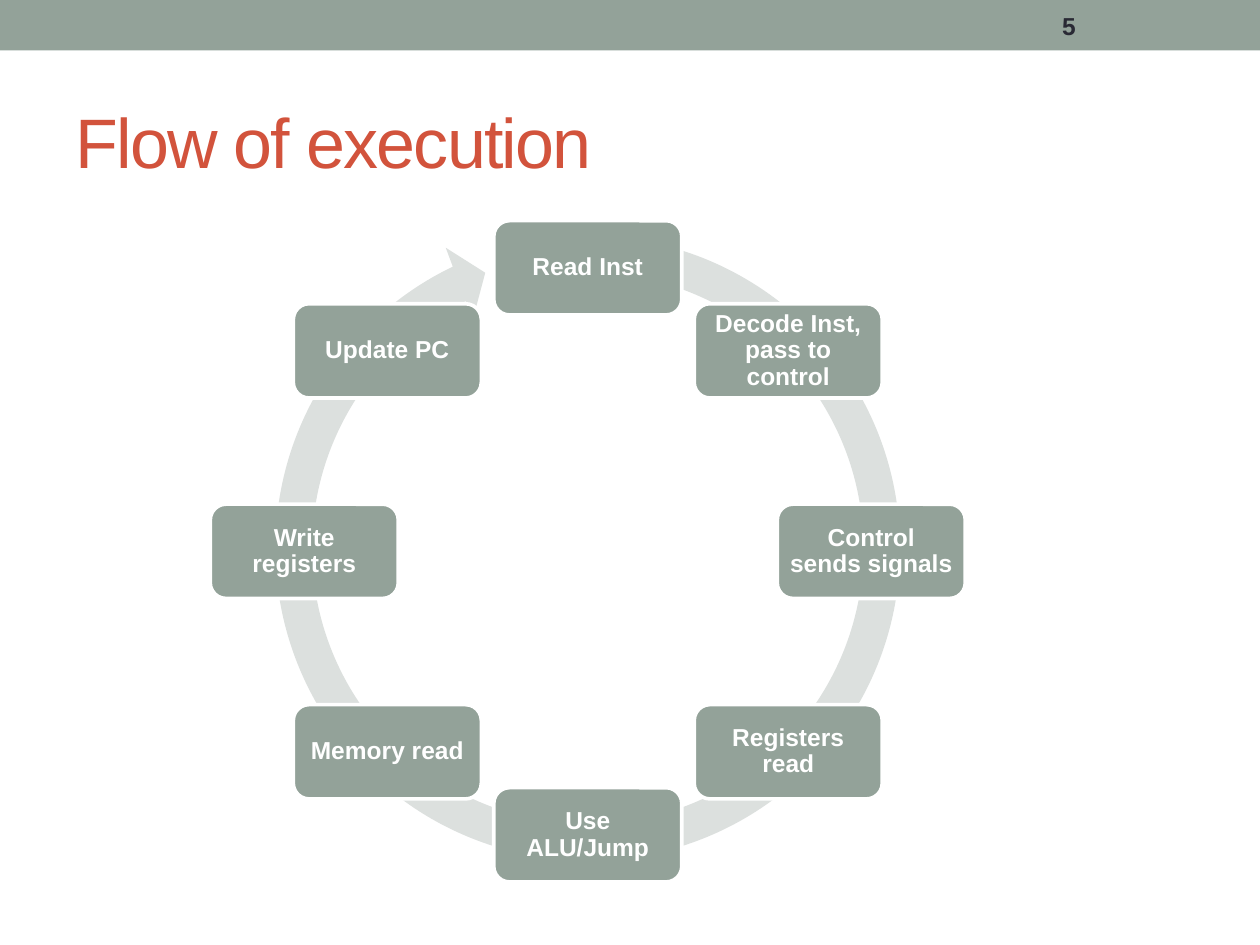
import math

import pptx
import pptx.dml.color
import pptx.enum.shapes
import pptx.enum.text
import pptx.util
from pptx.util import Cm, Pt

COLOURS = {
    "sage": "93A299",
    "ring": "DCE0DE",
    "title": "D2533C",
    "number": "292934",
    "white": "FFFFFF",
}
STEPS = [
    "Read Inst",
    "Decode Inst, pass to control",
    "Control sends signals",
    "Registers read",
    "Use ALU/Jump",
    "Memory read",
    "Write registers",
    "Update PC",
]
RING_ADJUSTMENTS = [0.055, 3.307, 146.448, 168.768, 0.058]
SHAPES = pptx.enum.shapes.MSO_SHAPE


def colour(name):
    return pptx.dml.color.RGBColor.from_string(COLOURS[name])


def add_filled_shape(slide, kind, left, top, width, height, fill):
    shape = slide.shapes.add_shape(kind, Cm(left), Cm(top), Cm(width), Cm(height))
    shape.shadow.inherit = False
    shape.fill.solid()
    shape.fill.fore_color.rgb = colour(fill)
    shape.line.fill.background()
    return shape


def write_text(shape, text, size, font_colour, bold=False, spacing=None):
    frame = shape.text_frame
    frame.word_wrap = True
    frame.vertical_anchor = pptx.enum.text.MSO_ANCHOR.MIDDLE
    paragraph = frame.paragraphs[0]
    run = paragraph.add_run()
    run.text = text
    run.font.name = "Arial"
    run.font.size = Pt(size)
    run.font.bold = bold
    run.font.color.rgb = colour(font_colour)
    if spacing is not None:
        run.font._element.set("spc", str(spacing))
    return paragraph


def add_header(slide, left, top, width, height):
    add_filled_shape(slide, SHAPES.RECTANGLE, left, top, width, height, "sage")
    number = slide.shapes.add_textbox(
        Cm(left + 21.16), Cm(top + 0.05), Cm(2.97), Cm(height - 0.1)
    )
    write_text(number, "5", 14, "number", bold=True)


def add_title(slide, left, top, width, height):
    title = slide.shapes.add_textbox(Cm(left), Cm(top), Cm(width), Cm(height))
    write_text(title, "Flow of execution", 40, "title", spacing=-100)


def add_step(slide, text, left, top, width, height):
    step = add_filled_shape(
        slide, SHAPES.ROUNDED_RECTANGLE, left, top, width, height, "sage"
    )
    step.line.color.rgb = colour("white")
    step.line.width = Pt(2.08)
    frame = step.text_frame
    frame.margin_left = frame.margin_right = Cm(0.14)
    frame.margin_top = frame.margin_bottom = Cm(0.05)
    paragraph = write_text(step, text, 14, "white", bold=True)
    paragraph.alignment = pptx.enum.text.PP_ALIGN.CENTER
    paragraph.line_spacing = 0.9


def add_cycle(slide, left, top, width, height):
    step_width, step_height, ring_size = 3.79, 1.9, 13.41
    centre_x, centre_y = left + width / 2, top + height / 2
    radius = (height - step_height) / 2
    ring = add_filled_shape(
        slide,
        SHAPES.CIRCULAR_ARROW,
        centre_x - ring_size / 2,
        top - 0.1,
        ring_size,
        ring_size,
        "ring",
    )
    for index, value in enumerate(RING_ADJUSTMENTS):
        ring.adjustments[index] = value
    for index, text in enumerate(STEPS):
        angle = 2 * math.pi * index / len(STEPS)
        add_step(
            slide,
            text,
            centre_x + radius * math.sin(angle) - step_width / 2,
            centre_y - radius * math.cos(angle) - step_height / 2,
            step_width,
            step_height,
        )


def main():
    presentation = pptx.Presentation()
    presentation.slide_width = Cm(25.4)
    presentation.slide_height = Cm(19.05)
    slide = presentation.slides.add_slide(presentation.slide_layouts[6])
    add_header(slide, 0, 0, 25.4, 1.02)
    add_title(slide, 1.27, 1.47, 22.86, 2.74)
    add_cycle(slide, 4.24, 4.45, 15.22, 13.33)
    presentation.save("out.pptx")


if __name__ == "__main__":
    main()
